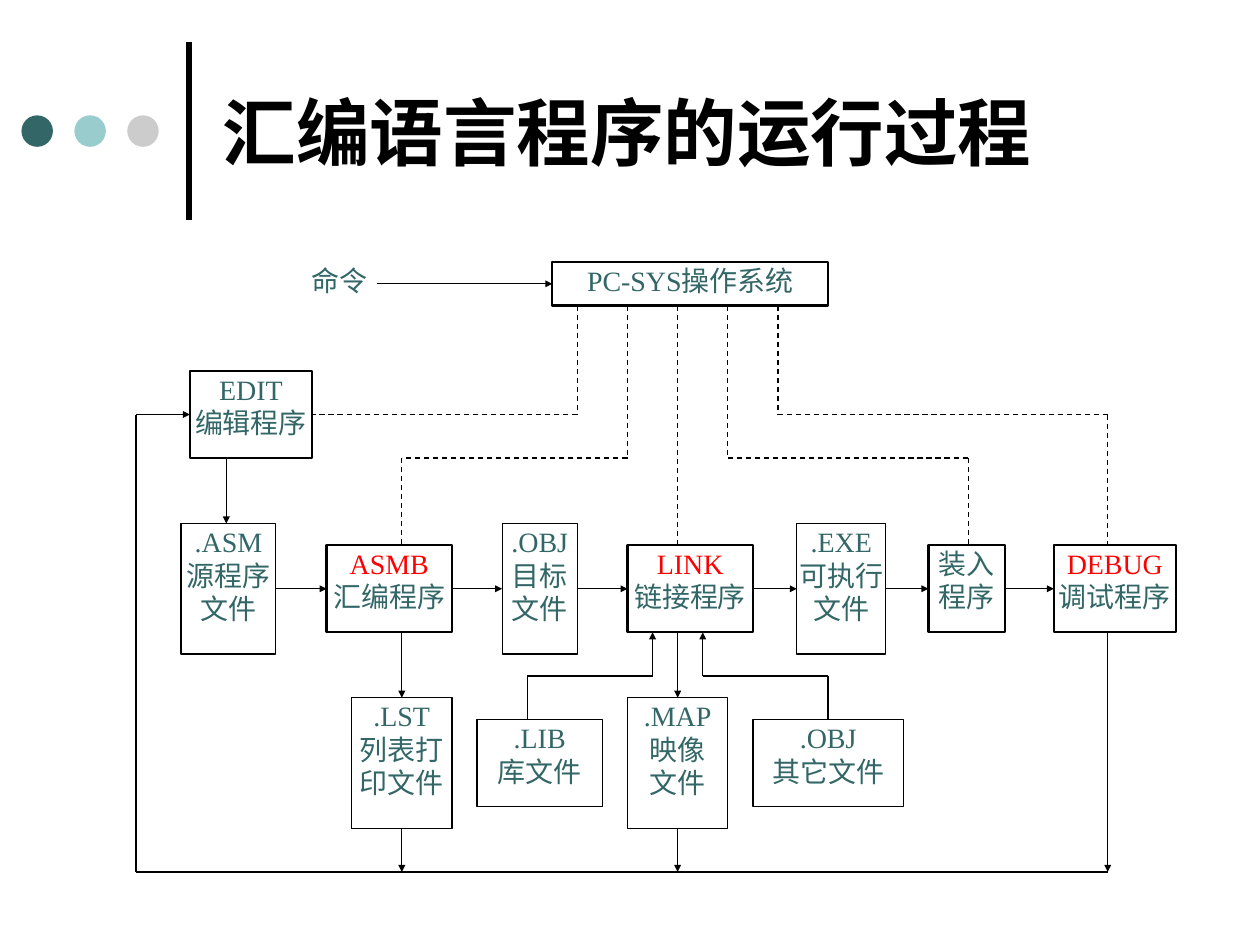
from dataclasses import dataclass
from itertools import pairwise

from lxml import etree
from pptx import Presentation
from pptx.dml.color import RGBColor
from pptx.enum.dml import MSO_LINE
from pptx.enum.shapes import MSO_CONNECTOR, MSO_SHAPE
from pptx.enum.text import MSO_ANCHOR, PP_ALIGN
from pptx.oxml.ns import qn
from pptx.util import Inches, Pt

STRAIGHT = MSO_CONNECTOR.STRAIGHT
DASH = MSO_LINE.DASH
RECT, OVAL = MSO_SHAPE.RECTANGLE, MSO_SHAPE.OVAL
TOP, MIDDLE = MSO_ANCHOR.TOP, MSO_ANCHOR.MIDDLE
LEFT, CENTER = PP_ALIGN.LEFT, PP_ALIGN.CENTER


@dataclass(frozen=True)
class Theme:
    black: str = "000000"
    white: str = "FFFFFF"
    teal: str = "336666"
    aqua: str = "99CCCC"
    gray: str = "CCCCCC"
    red: str = "FF0000"
    title_font: str = "Arial"
    body_font: str = "Times New Roman"
    title_size: float = 42
    body_size: float = 16
    rule: float = 3
    thick: float = 1.25
    thin: float = 0.75


THEME = Theme()
SLIDE_W, SLIDE_H = 10, 7.5
COLS, ROWS = 41, 28
TOUCH = 0.05

COMMAND = (7, 0, 3, 2)
SYSTEM = (17, 0, 11, 2)
EDIT = (2.55, 5, 4.87, 4)
SOURCE = (2.2, 12, 3.77, 6)
ASSEMBLER = (8, 13, 5, 4)
OBJ = (15, 12, 3, 6)
LINK = (20, 13, 5, 4)
EXE = (26.75, 12, 3.55, 6)
LOADER = (32, 13, 3.05, 4)
DEBUG = (37, 13, 4.87, 4)
LST = (9, 20, 4, 6)
LIB = (14, 21, 5, 4)
MAP = (20, 20, 4, 6)
OTHER = (25, 21, 6, 4)

BOXES = [
    (SYSTEM, ["PC-SYS操作系统"]),
    (EDIT, ["EDIT", "编辑程序"]),
    (SOURCE, [".ASM", "源程序", "文件"]),
    (ASSEMBLER, ["ASMB", "汇编程序"]),
    (OBJ, [".OBJ", "目标", "文件"]),
    (LINK, ["LINK", "链接程序"]),
    (EXE, [".EXE", "可执行", "文件"]),
    (LOADER, ["装入", "程序"]),
    (DEBUG, ["DEBUG", "调试程序"]),
    (LST, [".LST", "列表打", "印文件"]),
    (LIB, [".LIB", "库文件"]),
    (MAP, [".MAP", "映像", "文件"]),
    (OTHER, [".OBJ", "其它文件"]),
]
KEY_TOOLS = {"ASMB", "LINK", "DEBUG"}
PIPELINE = [SOURCE, ASSEMBLER, OBJ, LINK, EXE, LOADER, DEBUG]

DEBUG_COL = 39.15
LOOP_COL = 0.4
DASHED_PATHS = [
    [(18, 2), (18, 7), (7.42, 7)],
    [(20, 2), (20, 9), (11, 9), (11, 13)],
    [(22, 2), (22, 13)],
    [(24, 2), (24, 9), (33.6, 9), (33.6, 13)],
    [(26, 2), (26, 7), (DEBUG_COL, 7), (DEBUG_COL, 13)],
]
ARROW_PATHS = [
    [(10, 1), (17, 1)],
    [(4, 9), (4, 12)],
    [(11, 17), (11, 20)],
    [(22, 17), (22, 20)],
    [(16, 21), (16, 19), (21, 19), (21, 17)],
    [(28, 21), (28, 19), (23, 19), (23, 17)],
    [(11, 26), (11, 28)],
    [(22, 26), (22, 28)],
    [(DEBUG_COL, 17), (DEBUG_COL, 28)],
    [(DEBUG_COL, 28), (LOOP_COL, 28), (LOOP_COL, 7), (2.55, 7)],
]


def rgb(color):
    return RGBColor.from_string(color)


def add_text(sp, lines, *, size, font, colors, bold=False, align=CENTER,
             anchor=TOP, inset=(0, 0.01)):
    tf = sp.text_frame
    tf.word_wrap = True
    tf.vertical_anchor = anchor
    tf.margin_left = tf.margin_right = Inches(inset[0])
    tf.margin_top = tf.margin_bottom = Inches(inset[1])
    for i, (line, color) in enumerate(zip(lines, colors)):
        p = tf.paragraphs[0] if i == 0 else tf.add_paragraph()
        p.alignment = align
        r = p.add_run()
        r.text = line
        r.font.size = Pt(size)
        r.font.name = font
        r.font.bold = bold
        r.font.color.rgb = rgb(color)


def add_block(s, kind, box, fill=None, width=None):
    sp = s.shapes.add_shape(kind, *(Inches(v) for v in box))
    sp.shadow.inherit = False
    if fill:
        sp.fill.solid()
        sp.fill.fore_color.rgb = rgb(fill)
    else:
        sp.fill.background()
    if width:
        sp.line.color.rgb = rgb(THEME.black)
        sp.line.width = Pt(width)
    else:
        sp.line.fill.background()
    return sp


def add_line(s, start, end, width, dash=None, arrow=False):
    line = s.shapes.add_connector(STRAIGHT, *(Inches(v) for v in (*start, *end)))
    line.line.color.rgb = rgb(THEME.black)
    line.line.width = Pt(width)
    if dash:
        line.line.dash_style = dash
    if arrow:
        etree.SubElement(line.line._get_or_add_ln(), qn("a:tailEnd"),
                         type="triangle", w="sm", len="sm")
    etree.SubElement(line._element.spPr, qn("a:effectLst"))
    return line


def find_site(point, placed):
    for (col, row, cols, rows), sp in placed:
        sides = [(col + cols / 2, row), (col, row + rows / 2),
                 (col + cols / 2, row + rows), (col + cols, row + rows / 2)]
        for i, side in enumerate(sides):
            if all(abs(a - b) < TOUCH for a, b in zip(point, side)):
                return sp, i
    return None


def draw_header(s, left, top, width, height):
    add_line(s, (left + 0.15 * width, top + 0.84 * height),
             (left + 0.15 * width, top + 0.16 * height), THEME.rule)
    for i, color in enumerate((THEME.teal, THEME.aqua, THEME.gray)):
        add_block(s, OVAL, (left + (0.017 + 0.042 * i) * width,
                            top + 0.44 * height, 0.25, 0.25), color)
    tb = s.shapes.add_textbox(Inches(left + 0.167 * width), Inches(top + 0.1 * height),
                              Inches(0.767 * width), Inches(0.8 * height))
    add_text(tb, ["汇编语言程序的运行过程"], size=THEME.title_size,
             font=THEME.title_font, colors=[THEME.black], bold=True,
             align=LEFT, anchor=MIDDLE, inset=(0.1, 0.05))


def draw_flow(s, left, top, width, height):
    col_w, row_h = width / COLS, height / ROWS
    body = {"size": THEME.body_size, "font": THEME.body_font}

    def at(point):
        return left + point[0] * col_w, top + point[1] * row_h

    def place(cell):
        return (*at(cell[:2]), cell[2] * col_w, cell[3] * row_h)

    placed = []
    for cell, lines in BOXES:
        border = THEME.thin if lines[0].startswith(".") else THEME.thick
        fill = THEME.white if cell == DEBUG else None
        sp = add_block(s, RECT, place(cell), fill, border)
        colors = [THEME.red if t in KEY_TOOLS else THEME.teal for t in lines]
        add_text(sp, lines, colors=colors, **body)
        placed.append((cell, sp))

    tb = s.shapes.add_textbox(*(Inches(v) for v in place(COMMAND)))
    add_text(tb, ["命令"], colors=[THEME.teal], inset=(0.02, 0.01), **body)
    placed.append((COMMAND, tb))

    steps = [[(a[0] + a[2], 15), (b[0], 15)] for a, b in pairwise(PIPELINE)]
    paths = [(path, DASH) for path in DASHED_PATHS]
    paths += [(path, None) for path in steps + ARROW_PATHS]
    for path, dash in paths:
        for start, end in pairwise(path):
            arrow = not dash and end == path[-1]
            line = add_line(s, at(start), at(end), THEME.thin, dash, arrow)
            for point, connect in ((start, line.begin_connect), (end, line.end_connect)):
                site = find_site(point, placed)
                if site:
                    connect(*site)


def main():
    prs = Presentation()
    prs.slide_width, prs.slide_height = Inches(SLIDE_W), Inches(SLIDE_H)
    s = prs.slides.add_slide(prs.slide_layouts[6])
    s.background.fill.solid()
    s.background.fill.fore_color.rgb = rgb(THEME.white)
    draw_header(s, 0, 0, SLIDE_W, 2.08)
    draw_flow(s, 1, 2.08, 8.16, 4.84)
    prs.save("out.pptx")


if __name__ == "__main__":
    main()
